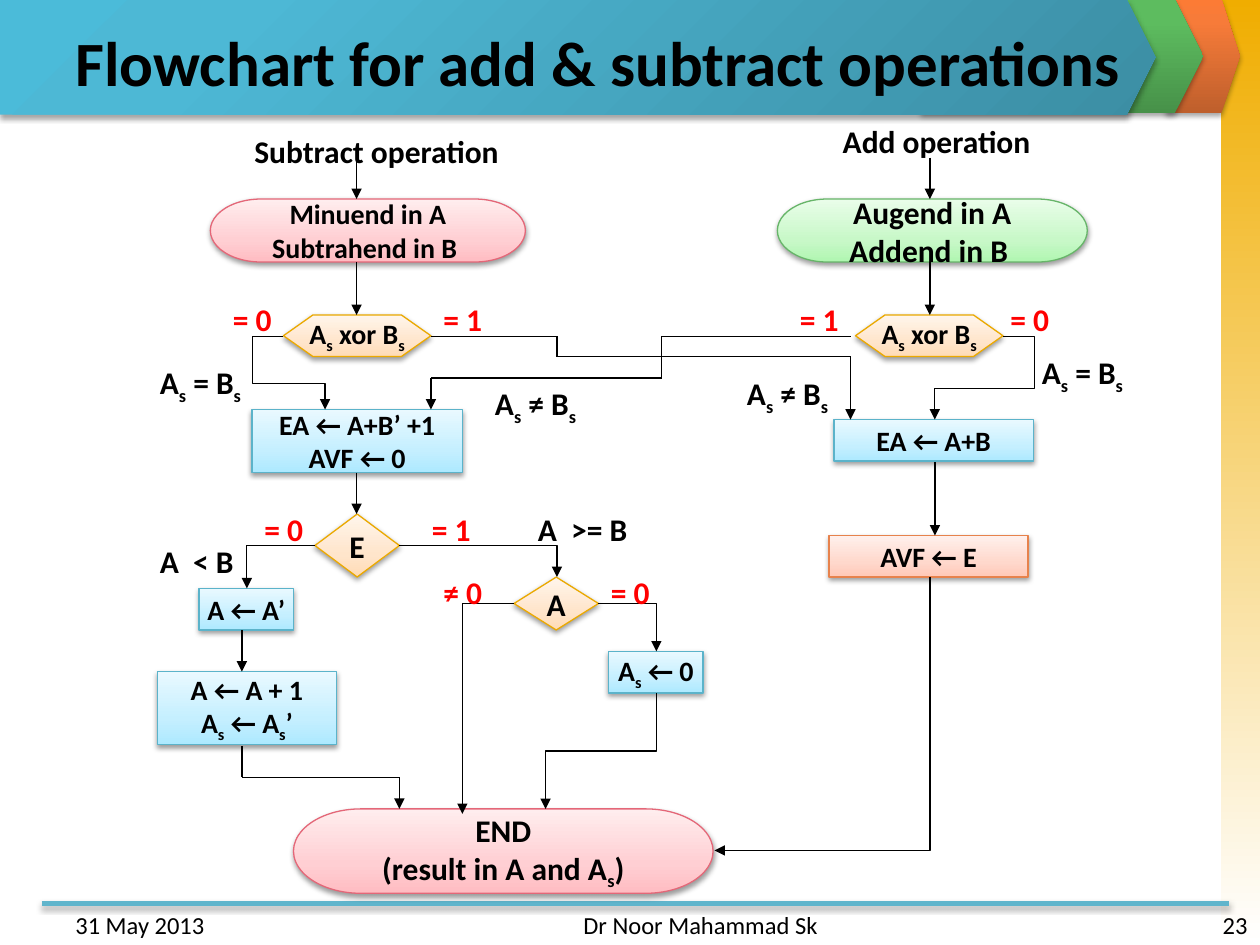
from pptx import Presentation
from pptx.dml.color import RGBColor
from pptx.enum.shapes import MSO_CONNECTOR as LINK, MSO_SHAPE as SHAPE
from pptx.enum.text import MSO_ANCHOR as ANCHOR, MSO_AUTO_SIZE as FIT, PP_ALIGN as ALIGN
from pptx.oxml import parse_xml
from pptx.oxml.ns import nsdecls, qn
from pptx.util import Cm, Pt

BLACK = RGBColor(0x00, 0x00, 0x00)
RED = RGBColor(0xFF, 0x00, 0x00)
RULE_BLUE = RGBColor(0x60, 0xB5, 0xCC)


def palette(*codes):
    return [RGBColor.from_string(code) for code in codes]


# Box palettes: outline, then gradient colours from bottom to top
PINK = palette("E46778", "FFBCC2", "FFCFD3", "FFEDEE")
GREEN = palette("67B569", "B0F6B1", "C8F8C8", "E9FDE9")
AMBER = palette("EBA900", "FFDBB5", "FFE5CB", "FFF5EB")
BLUE = palette("5BB3CA", "ADE9FF", "C5EFFF", "E9F9FF")
CORAL = palette("E7824C", "FFC8B7", "FFD8CC", "FFF0EC")
# Banner gradients
SIDE_GOLD = palette("F0AD00", "FFFFFF")
TIP_ORANGE = palette("BE5F2C", "F77B39", "FC7B35")
TIP_GREEN = palette("479149", "5DBC5F", "5BBF5E")
BANNER_BLUE = palette("3C8EA4", "4DB8D5", "4BBBD9")

UPWARD = '<a:lin ang="16200000" scaled="0"/>'
DOWNWARD = '<a:lin ang="5400000" scaled="0"/>'
FROM_CORNER = '<a:path path="circle"><a:fillToRect l="100000" t="100000"/></a:path>'


def inch(value):
    return Cm(2.54 * value)


class Flowchart:
    font = "Calibri"

    def __init__(self, slide):
        self.slide = slide
        self.shapes = slide.shapes

    def set_text(self, frame, text, size, color=BLACK, bold=True, align=ALIGN.LEFT):
        """Fill a frame; an underscore lowers the character after it."""
        frame.text = text.replace("_", "")
        for paragraph, line in zip(frame.paragraphs, text.split("\n")):
            paragraph.alignment = align
            first, *rest = line.split("_")
            paragraph.text = first
            for piece in rest:
                low = paragraph.add_run()
                low.text = piece[0]
                low.font._element.set("baseline", "-25000")
                if piece[1:]:
                    paragraph.add_run().text = piece[1:]
            for run in paragraph.runs:
                run.font.name, run.font.size = self.font, Pt(size)
                run.font.bold, run.font.color.rgb = bold, color

    def title(self, text, *place):
        heading = self.shapes.title
        heading.left, heading.top, heading.width, heading.height = map(inch, place)
        heading.text_frame.vertical_anchor = ANCHOR.MIDDLE
        self.set_text(heading.text_frame, text, 36)
        heading.text_frame.auto_size = FIT.NONE
        heading.element.getparent().append(heading.element)

    def label(self, text, left, top, width=0.51, height=0.4, size=18, color=BLACK,
              bold=True, align=ALIGN.LEFT, wrap=False, fit=FIT.SHAPE_TO_FIT_TEXT):
        frame = self.shapes.add_textbox(*map(inch, (left, top, width, height))).text_frame
        self.set_text(frame, text, size, color, bold, align)
        frame.word_wrap, frame.auto_size = wrap, fit

    def shade(self, item, alpha=35, distance=1.8):
        props = item.element.spPr
        for old in props.findall(qn("a:effectLst")):
            props.remove(old)
        props.append(parse_xml(
            f'<a:effectLst {nsdecls("a")}><a:outerShdw blurRad="{Pt(3.1)}" '
            f'dist="{Pt(distance)}" dir="5400000" rotWithShape="0"><a:srgbClr val="000000">'
            f'<a:alpha val="{alpha * 1000}"/></a:srgbClr></a:outerShdw></a:effectLst>'))

    def panel(self, kind, place, colors, stops, direction):
        panel = self.shapes.add_shape(kind, *map(inch, place))
        panel.shadow.inherit = False
        panel.line.fill.background()
        panel.fill.gradient()
        marks = "".join(f'<a:gs pos="{stop * 1000}"><a:srgbClr val="{color}"/></a:gs>'
                        for stop, color in zip(stops, colors))
        plain = panel.element.spPr.find(qn("a:gradFill"))
        plain.getparent().replace(plain, parse_xml(
            f'<a:gradFill {nsdecls("a")} rotWithShape="1"><a:gsLst>{marks}</a:gsLst>'
            f'{direction}</a:gradFill>'))
        return panel

    def banner(self, place, colors, direction=UPWARD):
        plate = self.panel(SHAPE.PENTAGON, place, colors, (0, 80, 100), direction)
        plate.adjustments[0] = 0.25
        self.shade(plate)

    def box(self, kind, text, place, colors, size=16):
        box = self.panel(kind, place, colors[1:], (0, 35, 100), UPWARD)
        box.line.color.rgb, box.line.width = colors[0], Pt(0.75)
        self.shade(box, 38, 1.6)
        self.set_text(box.text_frame, text, size, align=ALIGN.CENTER)
        box.text_frame.vertical_anchor = ANCHOR.MIDDLE
        box.text_frame.word_wrap = False

    def link(self, kind, start, end, color=BLACK, width=0.75, arrow=True):
        link = self.shapes.add_connector(kind, *map(inch, start + end))
        link.line.color.rgb, link.line.width = color, Pt(width)
        props = link.element.spPr
        if arrow:
            props.find(qn("a:ln")).append(
                parse_xml(f'<a:tailEnd {nsdecls("a")} type="triangle"/>'))
        props.append(parse_xml(f'<a:effectLst {nsdecls("a")}/>'))
        return link

    def route(self, *points):
        """Straight pieces through the points, with an arrowhead on the last."""
        for start, end in zip(points, points[1:]):
            self.link(LINK.STRAIGHT, start, end, arrow=end == points[-1])

    def elbow(self, start, end, bends, bend_at=(), down_first=False):
        if down_first:
            (x1, y1), (x2, y2) = start, end
            run, drop = y2 - y1, x1 - x2
            left, top = (x1 + x2 - run) / 2, (y1 + y2 - drop) / 2
            start, end = (left, top), (left + run, top + drop)
        link = self.link(LINK.ELBOW, start, end)
        props = link.element.spPr
        if down_first:
            props.find(qn("a:xfrm")).set("rot", "5400000")
        outline = props.find(qn("a:prstGeom"))
        outline.set("prst", f"bentConnector{bends + 1}")
        guides = "".join(f'<a:gd name="adj{i}" fmla="val {round(at * 100000)}"/>'
                         for i, at in enumerate(bend_at, 1))
        for old in list(outline):
            outline.remove(old)
        outline.append(parse_xml(f'<a:avLst {nsdecls("a")}>{guides}</a:avLst>'))


deck = Presentation()
deck.slide_width, deck.slide_height = Cm(25.4), Cm(19.05)
chart = Flowchart(deck.slides.add_slide(deck.slide_layouts[5]))

# Banner, side strip and footer rule
chart.panel(SHAPE.RECTANGLE, (9.69, 0, 0.31, 7.5), SIDE_GOLD, (0, 100), DOWNWARD)
chart.banner((9.25, -0.01, 0.59, 0.91), TIP_ORANGE)
chart.banner((7.31, -0.01, 2.24, 0.91), TIP_GREEN)
footer_rule = chart.link(LINK.STRAIGHT, (0.33, 7.17), (9.75, 7.17), RULE_BLUE, 3, False)
chart.shade(footer_rule)
chart.banner((0, 0, 9.17, 0.91), BANNER_BLUE, FROM_CORNER)
chart.title("Flowchart for add & subtract operations", 0.5, 0.14, 9, 0.69)

# Footer
for text, left, width, align in (("31 May 2013", 0.5, 2.33, ALIGN.LEFT),
                                 ("Dr Noor Mahammad Sk", 3.42, 3.17, ALIGN.RIGHT),
                                 ("23", 7.67, 2.33, ALIGN.RIGHT)):
    chart.label(text, left, 7.17, width, 0.25, 14, bold=False, align=align,
                wrap=True, fit=FIT.NONE)

# Start, step and end boxes
START, STEP = SHAPE.FLOWCHART_TERMINATOR, SHAPE.FLOWCHART_PROCESS
SIGNS, TEST = SHAPE.FLOWCHART_PREPARATION, SHAPE.FLOWCHART_DECISION
for kind, text, place, colors, size in (
        (START, "Minuend in A\nSubtrahend in B ", (1.67, 1.58, 2.5, 0.5), PINK, 16),
        (START, "Augend in A\nAddend in B ", (6.17, 1.58, 2.46, 0.5), GREEN, 18),
        (SIGNS, "A_s xor B_s", (2.25, 2.5, 1.17, 0.33), AMBER, 16),
        (SIGNS, "A_s xor B_s", (6.79, 2.5, 1.17, 0.33), AMBER, 16),
        (STEP, "EA ← A+B’ +1\nAVF ← 0", (2, 3.25, 1.67, 0.5), BLUE, 16),
        (STEP, "EA ← A+B", (6.62, 3.33, 1.58, 0.33), BLUE, 16),
        (STEP, "AVF ← E", (6.58, 4.25, 1.58, 0.33), CORAL, 16),
        (TEST, "E", (2.5, 4.08, 0.67, 0.5), AMBER, 18),
        (TEST, "A", (4.08, 4.58, 0.67, 0.42), AMBER, 18),
        (STEP, "A ← A’", (1.58, 4.67, 0.75, 0.33), BLUE, 16),
        (STEP, "A ← A + 1\nA_s ← A_s’", (1.25, 5.33, 1.42, 0.58), BLUE, 16),
        (STEP, "A_s ← 0", (4.83, 5.17, 0.75, 0.33), BLUE, 16),
        (START, "END\n(result in A and A_s)", (2.33, 6.42, 3.33, 0.67), PINK, 18)):
    chart.box(kind, text, place, colors, size)

# Straight arrows down each branch
for x, top, bottom in ((2.83, 1.25, 1.58), (2.83, 2.08, 2.5), (2.83, 3.75, 4.08),
                       (7.38, 1.25, 1.58), (7.38, 2.08, 2.5), (7.42, 3.67, 4.25),
                       (1.92, 5, 5.33)):
    chart.route((x, top), (x, bottom))

# Crossing routes and the route to the end
chart.route((6.75, 2.67), (5.25, 2.67), (5.25, 3), (3.42, 3), (3.42, 3.25))
chart.route((3.42, 2.67), (4.42, 2.67), (4.42, 2.83), (6.75, 2.83), (6.75, 3.33))
chart.route((1.92, 5.92), (1.92, 6.17), (3.17, 6.17), (3.17, 6.42))

# Elbow arrows
chart.elbow((2.25, 2.67), (2.58, 3.25), 3, (-0.75, 0.64))
chart.elbow((7.96, 2.67), (7.42, 3.33), 3, (-0.46, 0.63))
for start, end in (((3.17, 4.33), (4.42, 4.58)), ((2.5, 4.33), (1.96, 4.67)),
                   ((4.08, 4.79), (3.67, 6.46)), ((4.75, 4.79), (5.21, 5.17))):
    chart.elbow(start, end, 1)
chart.elbow((5.21, 5.5), (4.33, 6.42), 2, (0.5,), down_first=True)
chart.elbow((7.38, 4.58), (5.67, 6.75), 1, down_first=True)

# Branch names and conditions
chart.label("Subtract operation", 1.92, 1, 2.16)
chart.label("Add operation", 6.59, 0.92, 1.7)
for text, left, top in (("= 0", 1.75, 2.33), ("= 1", 3.42, 2.33), ("= 1", 6.25, 2.33),
                        ("= 0", 7.92, 2.33), ("= 0", 2, 4), ("= 1", 3.33, 4),
                        ("≠ 0", 3.42, 4.5), ("= 0", 4.75, 4.5)):
    chart.label(text, left, top, color=RED)
for text, left, top, width in (("A_s = B_s", 1.17, 2.83, 0.87), ("A_s = B_s", 8.17, 2.75, 0.87),
                               ("A_s ≠ B_s", 3.83, 3, 0.87), ("A_s ≠ B_s", 5.83, 2.92, 0.87),
                               ("A  < B", 1.17, 4.25, 0.87), ("A  >= B", 4.17, 4, 1.08)):
    chart.label(text, left, top, width, wrap=True)

deck.save("out.pptx")
